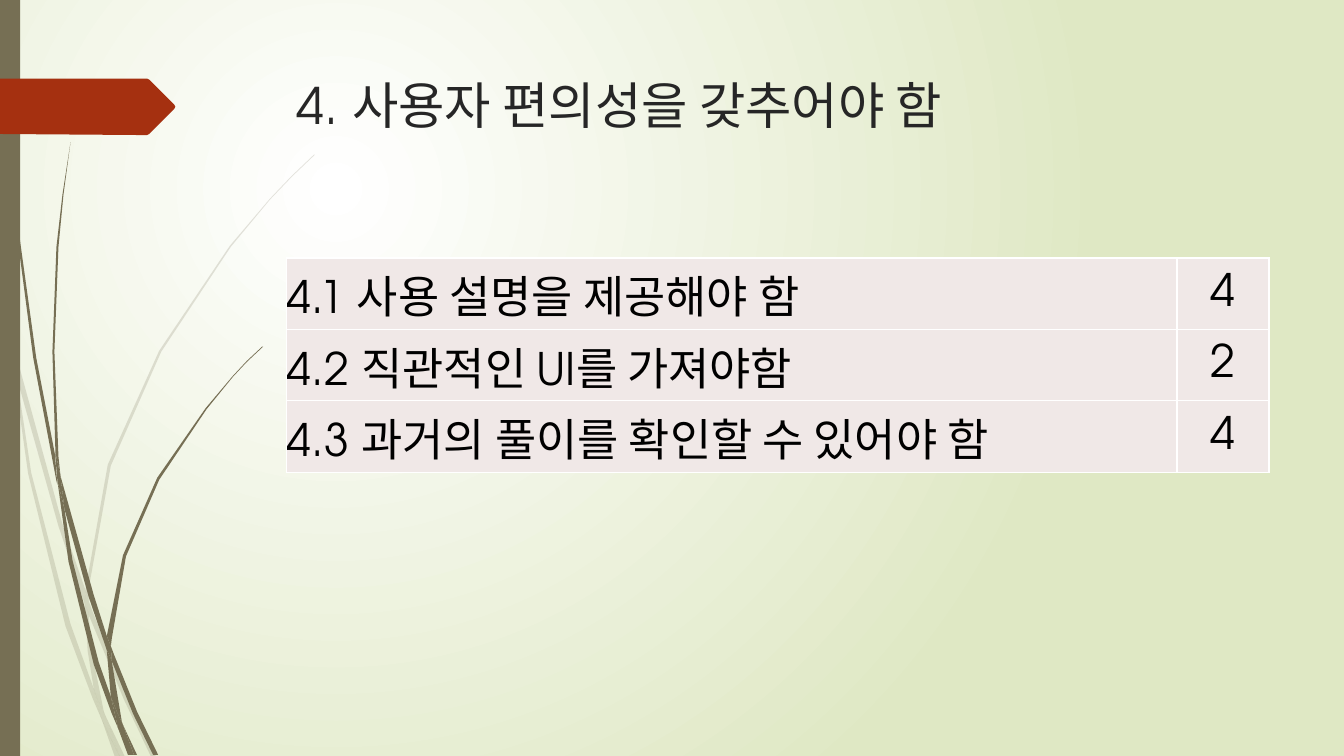
from dataclasses import dataclass
from typing import Any

import pptx
import pptx.dml.color
import pptx.enum.shapes
import pptx.enum.text
import pptx.oxml
import pptx.oxml.ns
import pptx.util
from lxml import etree

Cm = pptx.util.Cm
Pt = pptx.util.Pt
RGBColor = pptx.dml.color.RGBColor
ANCHOR = pptx.enum.text.MSO_ANCHOR
ALIGN = pptx.enum.text.PP_ALIGN
qn = pptx.oxml.ns.qn

WHITE = RGBColor(0xFF, 0xFF, 0xFF)
LIME = RGBColor(0xDF, 0xE8, 0xC4)
OLIVE = RGBColor(0x76, 0x6F, 0x54)
RUST = RGBColor(0xA5, 0x30, 0x10)
PINK = RGBColor(0xF0, 0xE8, 0xE7)
BLACK = RGBColor(0, 0, 0)
GREY = RGBColor(0x26, 0x26, 0x26)
FONT = "TeX Gyre Adventor"
UNIT = Cm(0.0254)  # outline points are in hundredths of an inch
LEFT, WIDTH = Cm(7.21), Cm(24.77)

Points = list[tuple[int, int]]


@dataclass
class Tuft:
    """A clump of grass: one opacity and the outlines of its blades."""
    alpha: int
    blades: list[Points]


@dataclass
class Need:
    text: str
    score: int


BACK = Tuft(20, [
    [(11, 350), (9, 322), (0, 282), (0, 299), (10, 344)],
    [(58, 522), (84, 599), (85, 586), (62, 520), (14, 345), (17, 376)],
    [(92, 607), (88, 596), (88, 610), (123, 694), (150, 751), (155, 751), (127, 692)],
    [(119, 751), (124, 751), (105, 711)],
    [(93, 683), (70, 619), (31, 469), (17, 376), (11, 350), (28, 470), (65, 621),
     (92, 693), (101, 714), (99, 707)],
    [(84, 599), (87, 646), (93, 683), (96, 692), (105, 711), (103, 706), (91, 646),
     (88, 610), (88, 608)],
    [(88, 584), (110, 462), (160, 349), (229, 245), (268, 198), (290, 175), (312, 154),
     (312, 153), (289, 175), (268, 197), (228, 244), (158, 348), (107, 461), (85, 584),
     (85, 586), (88, 596)],
    [(101, 714), (114, 751), (119, 751)],
    [(88, 608), (88, 610), (88, 596), (85, 586), (84, 599)],
    [(96, 692), (93, 683), (99, 707), (101, 714), (119, 751), (105, 711)],
])
FRONT = Tuft(100, [
    [(7, 110), (17, 233), (33, 355), (56, 477), (57, 481), (55, 457), (55, 453), (36, 355),
     (19, 232), (8, 109), (5, 48), (4, 0), (3, 0), (4, 48)],
    [(88, 592), (106, 645), (106, 633), (106, 631), (93, 590), (60, 472), (64, 505)],
    [(113, 649), (110, 641), (111, 656), (132, 708), (152, 749), (157, 749), (136, 706)],
    [(110, 691), (98, 657), (72, 556), (64, 505), (57, 477), (68, 557), (93, 659),
     (111, 708), (117, 722), (116, 717)],
    [(60, 472), (58, 453), (54, 349), (58, 245), (63, 193), (70, 141), (62, 193),
     (56, 245), (52, 349), (55, 449)],
    [(133, 749), (136, 749), (122, 719)],
    [(57, 477), (64, 505), (60, 472), (55, 449), (55, 453)],
    [(111, 633), (125, 552), (158, 476), (205, 406), (231, 374), (245, 359), (261, 344),
     (260, 344), (245, 358), (231, 373), (204, 405), (156, 474), (122, 551), (106, 631),
     (110, 641)],
    [(117, 722), (127, 749), (131, 749)],
    [(106, 645), (110, 691), (116, 706), (122, 719), (121, 716), (111, 656), (109, 651)],
    [(106, 645), (109, 651), (111, 656), (110, 641), (106, 631), (106, 633)],
    [(116, 706), (110, 691), (116, 717), (117, 722), (130, 749), (133, 749), (122, 719)],
])
ARROW = [(173, 108), (148, 133), (146, 134), (136, 134), (0, 133), (0, 78), (146, 78),
         (148, 79), (173, 104), (174, 106)]
NEEDS = [
    Need("4.1 사용 설명을 제공해야 함", 4),
    Need("4.2 직관적인 UI를 가져야함", 2),
    Need("4.3 과거의 풀이를 확인할 수 있어야 함", 4),
]
TITLE = {"left": LEFT, "top": Cm(1.73), "width": WIDTH, "height": Cm(3.56)}
FRAME = {"word_wrap": True, "vertical_anchor": ANCHOR.TOP,
         "auto_size": pptx.enum.text.MSO_AUTO_SIZE.NONE}
CELL = {"margin_left": Cm(0.02), "margin_right": Cm(0.02), "margin_top": Cm(0.02),
        "margin_bottom": 0, "vertical_anchor": ANCHOR.MIDDLE}
PLAIN = {"first_row": False, "horz_banding": False}


def put(item: Any, form: dict[str, Any]) -> None:
    """Set every attribute named in form."""
    for name, value in form.items():
        setattr(item, name, value)


def write(para: Any, text: str, size: int, color: RGBColor, align: Any) -> None:
    para.alignment = align
    run = para.add_run()
    run.text = text
    put(run.font, {"name": FONT, "size": Pt(size)})
    run.font.color.rgb = color


def paint(shape: Any, color: RGBColor, alpha: int = 100) -> None:
    shape.shadow.inherit = False
    shape.line.fill.background()
    shape.fill.solid()
    shape.fill.fore_color.rgb = color
    if alpha < 100:
        tint = shape.element.spPr.find(".//" + qn("a:srgbClr"))
        etree.SubElement(tint, qn("a:alpha"), val=str(alpha * 1000))


def trace(shapes: Any, points: Points, color: RGBColor, alpha: int = 100) -> None:
    """Draw a closed, filled outline."""
    pen = shapes.build_freeform(*points[0], scale=UNIT)
    pen.add_line_segments(points[1:], close=True)
    paint(pen.convert_to_shape(), color, alpha)


def glow(slide: Any) -> None:
    """Fill the background with a round gradient."""
    fill = slide.background.fill
    fill.gradient()
    for stop, color in zip(fill.gradient_stops, (WHITE, LIME)):
        stop.color.rgb = color
    grad = slide.element.find(".//" + qn("a:gradFill"))
    grad.remove(grad.find(qn("a:lin")))
    ring = etree.SubElement(grad, qn("a:path"), path="circle")
    etree.SubElement(ring, qn("a:fillToRect"), l="50000", t="50000", r="100000", b="100000")


def edge(cell: Any) -> None:
    """Give a cell white borders on all sides."""
    props = cell._tc.get_or_add_tcPr()
    for index, side in enumerate(("lnL", "lnR", "lnT", "lnB")):
        line = etree.Element(qn("a:" + side), w=str(Pt(1)))
        fill = etree.SubElement(line, qn("a:solidFill"))
        etree.SubElement(fill, qn("a:srgbClr"), val=str(WHITE))
        props.insert(index, line)


def grid(slide: Any, needs: list[Need]) -> None:
    high = Cm(1.8)
    table = slide.shapes.add_table(
        len(needs), 2, LEFT, Cm(6.5), WIDTH, high * len(needs)).table
    put(table, PLAIN)
    for column, width in zip(table.columns, (Cm(22.45), Cm(2.32))):
        column.width = width
    for row, need in zip(table.rows, needs):
        row.height = high
        pairs = ((need.text, ALIGN.LEFT), (str(need.score), ALIGN.CENTER))
        for cell, (text, align) in zip(row.cells, pairs):
            put(cell, CELL)
            cell.fill.solid()
            cell.fill.fore_color.rgb = PINK
            edge(cell)
            write(cell.text_frame.paragraphs[0], text, 32, BLACK, align)


def main() -> None:
    deck = pptx.Presentation()
    put(deck, {"slide_width": Cm(33.87), "slide_height": Cm(19.05)})
    slide = deck.slides.add_slide(deck.slide_layouts[5])
    glow(slide)
    for tuft in (BACK, FRONT):
        group = slide.shapes.add_group_shape()
        for blade in tuft.blades:
            trace(group.shapes, blade, OLIVE, tuft.alpha)
    bar = slide.shapes.add_shape(
        pptx.enum.shapes.MSO_SHAPE.RECTANGLE, 0, 0, Cm(0.51), deck.slide_height)
    paint(bar, OLIVE)
    trace(slide.shapes, ARROW, RUST)
    title = slide.shapes.title
    put(title, TITLE)
    put(title.text_frame, FRAME)
    write(title.text_frame.paragraphs[0], "4. 사용자 편의성을 갖추어야 함", 36, GREY, ALIGN.LEFT)
    grid(slide, NEEDS)
    deck.save("out.pptx")


if __name__ == "__main__":
    main()
